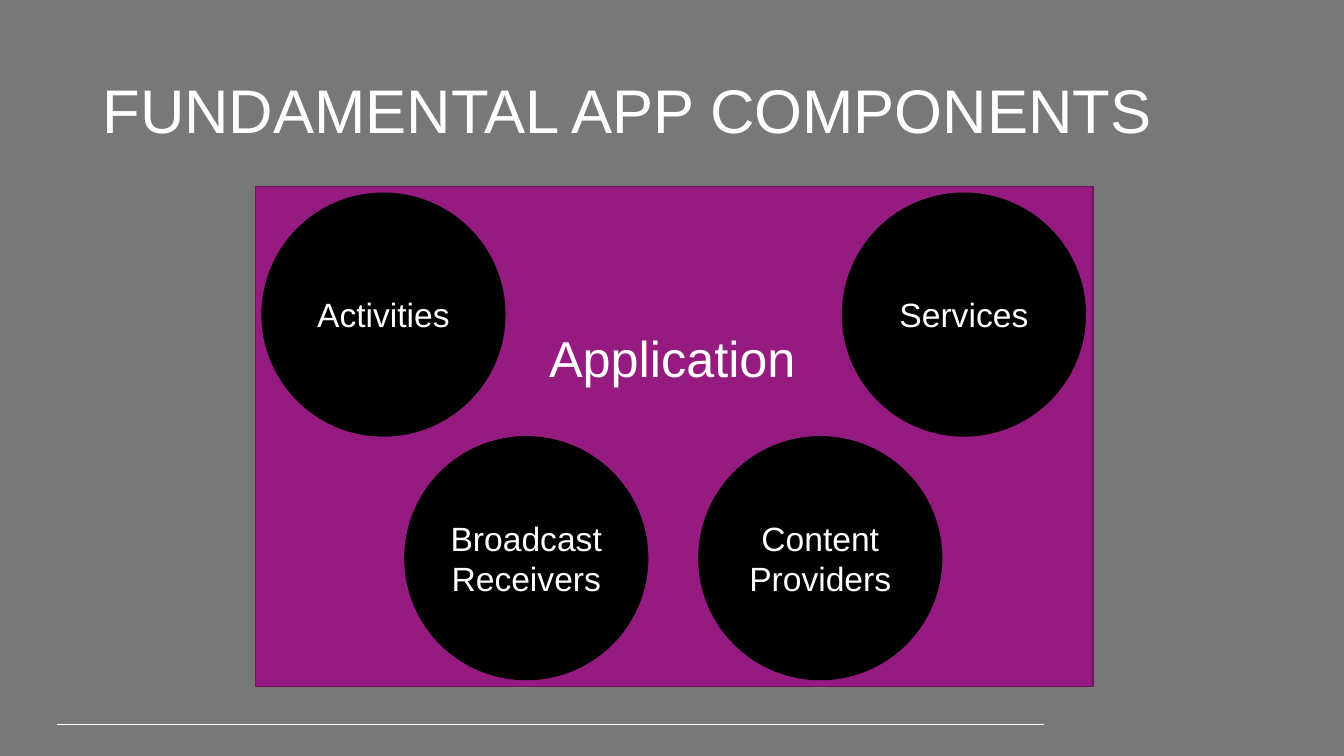
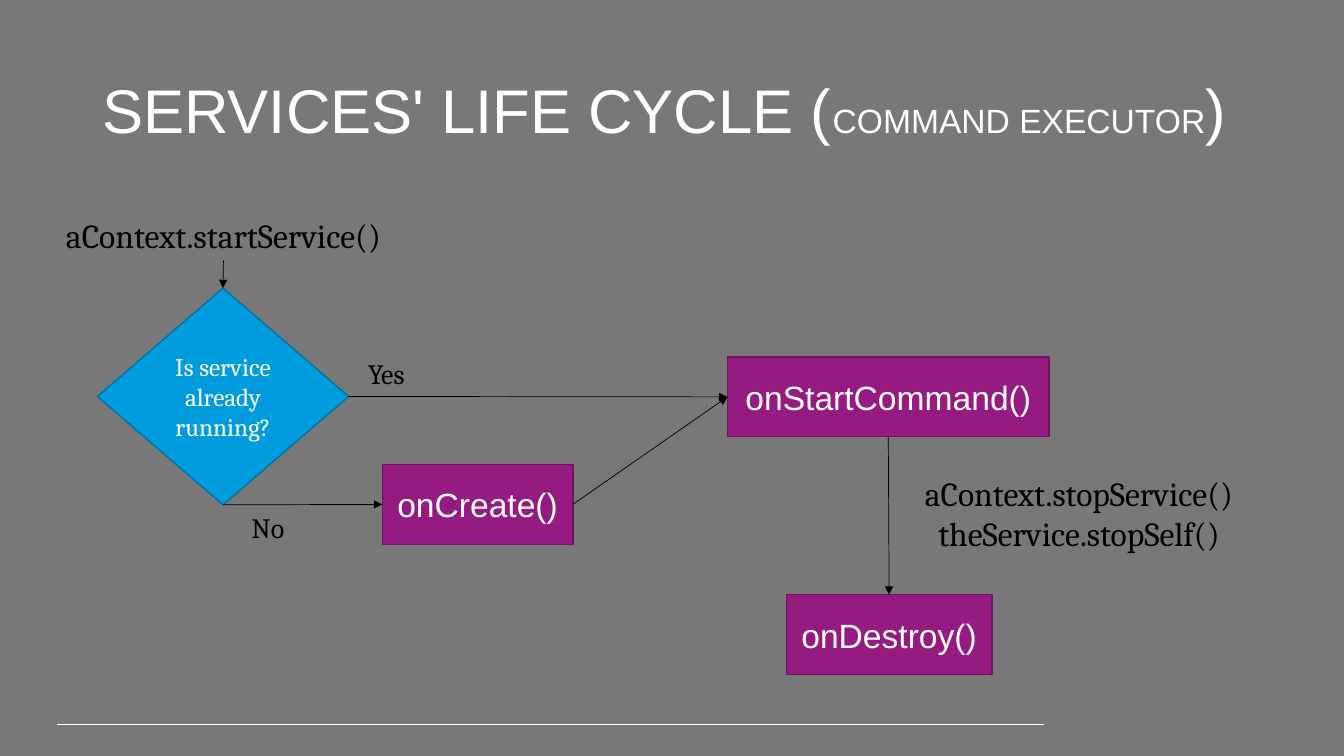
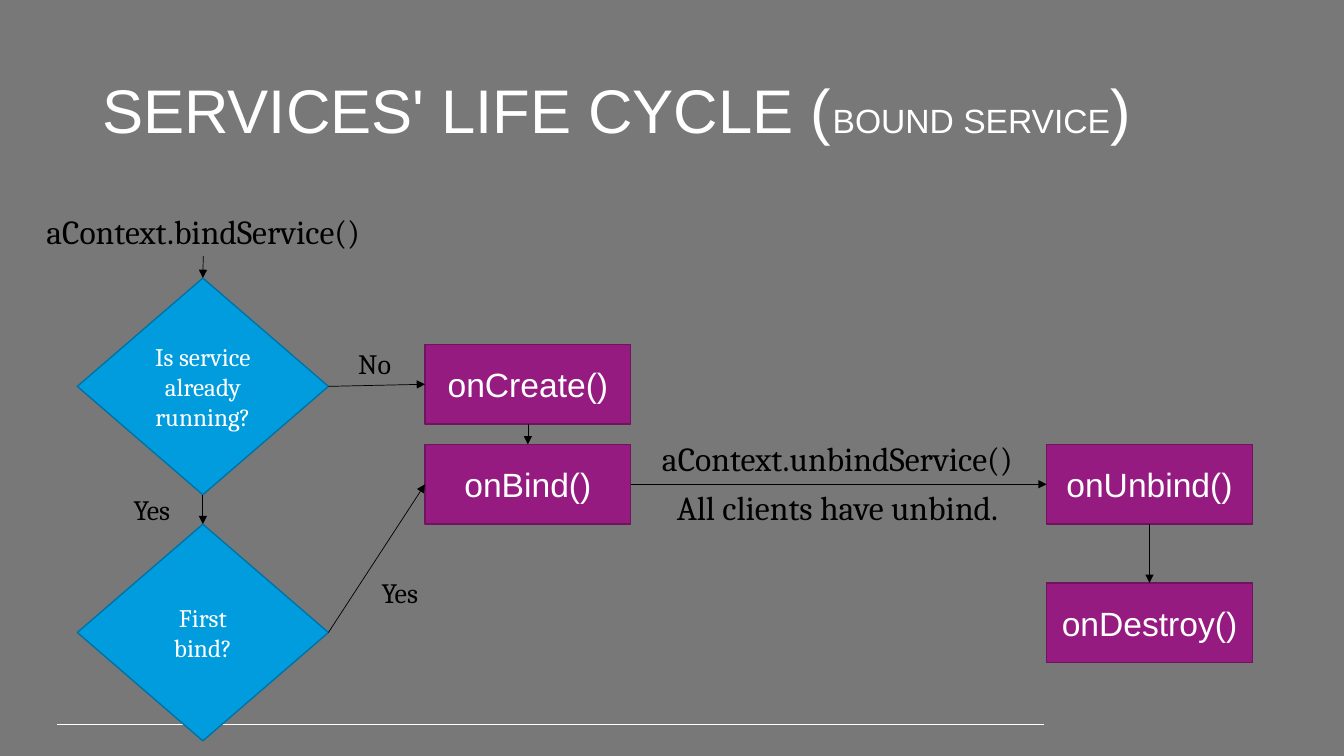
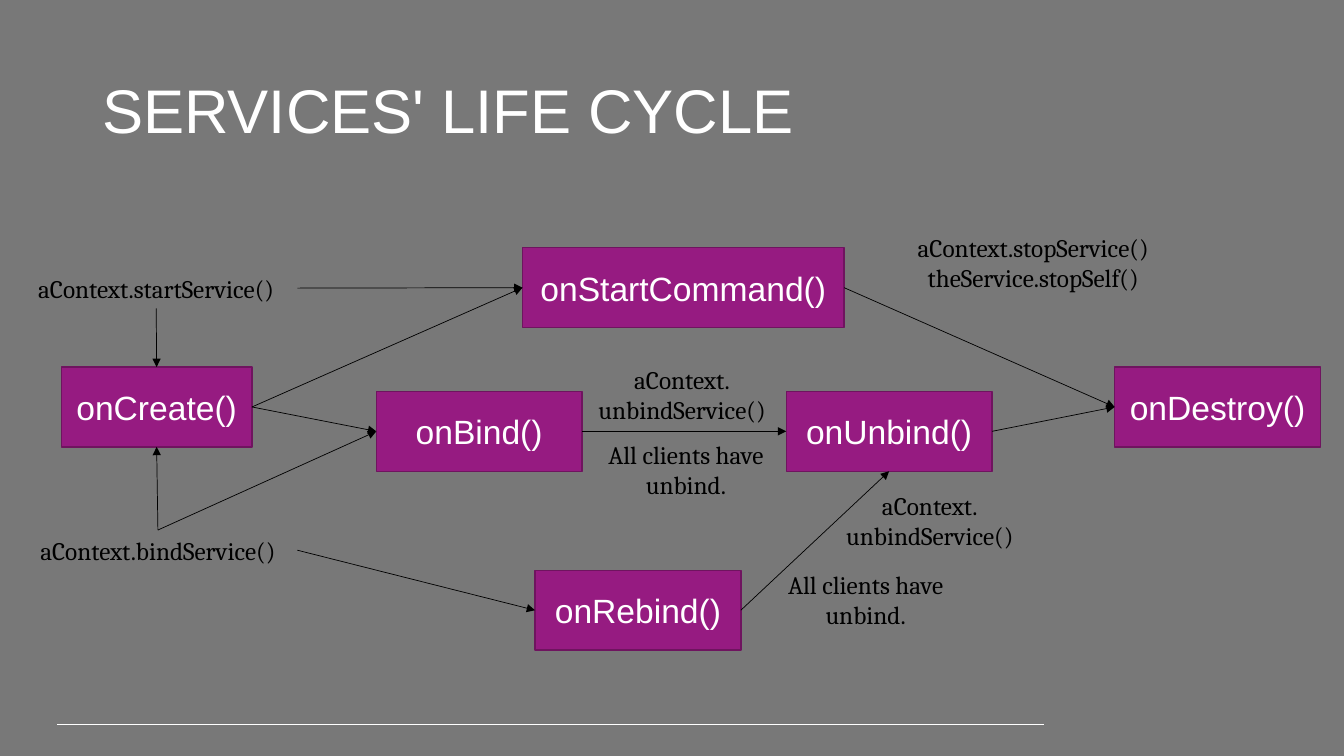
from pptx import Presentation
from pptx.dml.color import RGBColor
from pptx.enum.shapes import MSO_CONNECTOR as Connector, MSO_SHAPE as Preset
from pptx.enum.text import MSO_ANCHOR as Anchor, MSO_AUTO_SIZE as AutoSize, PP_ALIGN as Align
from pptx.oxml import parse_xml
from pptx.oxml.ns import nsdecls, qn
from pptx.text.text import Font
from pptx.util import Inches, Pt

# Each slide is a grid of 16 columns by 9 rows; all places are given in its units
presentation = Presentation()
presentation.slide_width, presentation.slide_height = Inches(13.333), Inches(7.5)
COLUMN = presentation.slide_width / 16
ROW = presentation.slide_height / 9
TOP, LEFT, BOTTOM, RIGHT = range(4)  # connection sites of a shape

WHITE, BLACK, GREY = (RGBColor.from_string(code) for code in ("FFFFFF", "000000", "787878"))
PURPLE, PLUM, BLUE, NAVY = (
    RGBColor.from_string(code) for code in ("961B81", "6F145F", "009CDE", "0073A4"))

THEME = {
    "background": GREY,
    "title": {"name": "Arial", "size": Pt(44), "color": WHITE},
    "subtitle": {"name": "Arial", "size": Pt(24), "color": WHITE},
    "rule": {"color": WHITE, "width": Pt(0.75)},
    "arrow": {"color": BLACK, "width": Pt(0.5)},
    # outlined shapes: preset, fill, line, font, default width, height
    "shapes": {
        "panel": (Preset.RECTANGLE, PURPLE, PLUM, ("Arial", 24), 9.97, 5.95),
        "circle": (Preset.OVAL, BLACK, BLACK, ("Arial", 24), 2.89, 2.89),
        "method": (Preset.RECTANGLE, PURPLE, PLUM, ("Arial", 24), 2.45, 0.95),
        "question": (Preset.DIAMOND, BLUE, NAVY, ("Cambria", 18), 2.99, 2.58),
    },
    # plain text: font name, size, colour, default width
    "texts": {
        "heading": ("Arial", 36, WHITE, 3.31),
        "call": ("Cambria", 24, BLACK, 4.62),
        "answer": ("Cambria", 20, BLACK, 1.08),
        "note": ("Cambria", 18, BLACK, 3.36),
    },
}

START, BIND, UNBIND = (f"aContext.{name}Service()" for name in ("start", "bind", "unbind"))
STOP = "aContext.stopService()\ntheService.stopSelf()"
UNBIND_BROKEN = "aContext.\vunbindService()"
ALL_UNBOUND = "All clients have unbind."
RUNNING, FIRST = "Is service already running?", "First bind?"
CREATE, COMMAND, DESTROY = "onCreate()", "onStartCommand()", "onDestroy()"
ON_BIND, ON_UNBIND, ON_REBIND = "onBind()", "onUnbind()", "onRebind()"

# nodes: kind, text, left, top, then optionally width and number of text lines
# arrows: start text, site, end text, site
SLIDES = [
    {
        "title": ["FUNDAMENTAL APP COMPONENTS"],
        "nodes": [
            ("panel", "", 3.04, 2.22),
            ("circle", "Activities", 3.12, 2.3),
            ("circle", "Services", 10.03, 2.3),
            ("circle", "Broadcast Receivers", 4.82, 5.2),
            ("circle", "Content Providers", 8.32, 5.2),
            ("heading", "Application", 6.35, 3.83),
        ],
        "arrows": [],
    },
    {
        "title": ["SERVICES' LIFE CYCLE (", "COMMAND EXECUTOR", ")"],
        "nodes": [
            ("method", CREATE, 4.55, 5.53, 2.27),
            ("method", DESTROY, 9.36, 7.08),
            ("method", COMMAND, 8.66, 4.25, 3.83),
            ("call", START, 0.35, 2.5),
            ("call", STOP, 10.66, 5.57, 4.37, 2),
            ("question", RUNNING, 1.16, 3.43),
            ("answer", "No", 2.65, 6.02),
            ("answer", "Yes", 4.06, 4.19),
        ],
        "arrows": [
            (START, BOTTOM, RUNNING, TOP),
            (RUNNING, RIGHT, COMMAND, LEFT),
            (RUNNING, BOTTOM, CREATE, LEFT),
            (CREATE, RIGHT, COMMAND, LEFT),
            (COMMAND, BOTTOM, DESTROY, TOP),
        ],
    },
    {
        "title": ["SERVICES' LIFE CYCLE (", "BOUND SERVICE", ")"],
        "nodes": [
            ("method", CREATE, 5.06, 4.1),
            ("method", DESTROY, 12.46, 6.94),
            ("method", ON_BIND, 5.06, 5.29),
            ("method", ON_UNBIND, 12.46, 5.29),
            ("call", BIND, 0.2, 2.45, 4.44),
            ("call", ALL_UNBOUND, 7.66, 5.74),
            ("call", UNBIND, 7.44, 5.16, 5.06),
            ("question", RUNNING, 0.92, 3.31),
            ("question", FIRST, 0.92, 6.24),
            ("answer", "No", 3.92, 4.06),
            ("answer", "Yes", 1.27, 5.8),
            ("answer", "Yes", 4.22, 6.79),
        ],
        "arrows": [
            (BIND, BOTTOM, RUNNING, TOP),
            (RUNNING, RIGHT, CREATE, LEFT),
            (RUNNING, BOTTOM, FIRST, TOP),
            (FIRST, RIGHT, ON_BIND, LEFT),
            (CREATE, BOTTOM, ON_BIND, TOP),
            (ON_BIND, RIGHT, ON_UNBIND, LEFT),
            (ON_UNBIND, BOTTOM, DESTROY, TOP),
        ],
    },
    {
        "title": ["SERVICES' LIFE CYCLE"],
        "nodes": [
            ("method", CREATE, 0.73, 4.37, 2.27),
            ("method", DESTROY, 13.27, 4.37),
            ("method", COMMAND, 6.22, 2.95, 3.83),
            ("method", ON_BIND, 4.48, 4.66),
            ("method", ON_UNBIND, 9.36, 4.66),
            ("method", ON_REBIND, 6.37, 6.79),
            ("note", START, 0.18, 3.19),
            ("note", BIND, 0.22, 6.31, 3.32),
            ("note", STOP, 10.57, 2.71, 3.46, 2),
            ("note", ALL_UNBOUND, 7.08, 5.17, 2.17, 2),
            ("note", ALL_UNBOUND, 9.22, 6.72, 2.17, 2),
            ("note", UNBIND_BROKEN, 6.89, 4.28, 2.46, 2),
            ("note", UNBIND_BROKEN, 9.84, 5.78, 2.46, 2),
        ],
        "arrows": [
            (START, BOTTOM, CREATE, TOP),
            (START, RIGHT, COMMAND, LEFT),
            (BIND, TOP, CREATE, BOTTOM),
            (BIND, TOP, ON_BIND, LEFT),
            (BIND, RIGHT, ON_REBIND, LEFT),
            (CREATE, RIGHT, COMMAND, LEFT),
            (CREATE, RIGHT, ON_BIND, LEFT),
            (ON_BIND, RIGHT, ON_UNBIND, LEFT),
            (ON_REBIND, RIGHT, ON_UNBIND, BOTTOM),
            (ON_UNBIND, RIGHT, DESTROY, LEFT),
            (COMMAND, RIGHT, DESTROY, LEFT),
        ],
    },
]


def format_font(font, values):
    """Apply a font name, size and colour to a font."""
    for name in ("name", "size"):
        setattr(font, name, values[name])
    font.color.rgb = values["color"]


def add_line(shapes, style, start=(0, 0), end=(0, 0)):
    """Add a straight line without shadow between two grid points."""
    line = shapes.add_connector(
        Connector.STRAIGHT, *(round(value) for value in (
            start[0] * COLUMN, start[1] * ROW, end[0] * COLUMN, end[1] * ROW)))
    line.line.color.rgb, line.line.width = style["color"], style["width"]
    line.element.spPr.append(parse_xml(f"<a:effectLst {nsdecls('a')}/>"))
    return line


# Shared look: background and title style on the master, title place and rule on the layout
master = presentation.slide_master
master.background.fill.solid()
master.background.fill.fore_color.rgb = THEME["background"]
title_level = master.element.find(".//" + qn("p:titleStyle") + "/" + qn("a:lvl1pPr"))
title_level.set("algn", "l")
format_font(Font(title_level.find(qn("a:defRPr"))), THEME["title"])

layout = presentation.slide_layouts.get_by_name("Title Only")
title_place = {"left": 1.1 * COLUMN, "top": 0.48 * ROW,
               "width": 13.8 * COLUMN, "height": 1.74 * ROW}
for name, value in title_place.items():
    setattr(layout.placeholders[0], name, round(value))

for number, content in enumerate(SLIDES):
    slide = presentation.slides.add_slide(layout)
    if number == 0:
        rule = add_line(slide.shapes, THEME["rule"], (0.68, 8.62), (12.43, 8.62))
        layout.shapes.element.append(rule.element)

    title_frame = slide.shapes.title.text_frame
    title_frame.vertical_anchor, title_frame.auto_size = Anchor.MIDDLE, AutoSize.NONE
    title_frame.paragraphs[0].line_spacing = 0.9
    for index, words in enumerate(content["title"]):
        run = title_frame.paragraphs[0].add_run()
        run.text = words
        format_font(run.font, THEME["subtitle" if index % 2 else "title"])

    nodes = {}
    for kind, text, left, top, *extent in content["nodes"]:
        place = round(left * COLUMN), round(top * ROW)
        if kind in THEME["shapes"]:
            preset, fill, outline, (font_name, size), width, height = THEME["shapes"][kind]
            color = WHITE
            width = extent[0] if extent else width
            node = slide.shapes.add_shape(
                preset, *place, round(width * COLUMN), round(height * ROW))
            node.shadow.inherit = False
            node.fill.solid()
            node.fill.fore_color.rgb = fill
            node.line.color.rgb, node.line.width = outline, Pt(1)
            frame_format = {"vertical_anchor": Anchor.MIDDLE, "word_wrap": True}
        else:
            font_name, size, color, width = THEME["texts"][kind]
            width = extent[0] if extent else width
            lines = extent[1] if len(extent) > 1 else 1
            height = 0.12 + lines * size * 0.02
            node = slide.shapes.add_textbox(
                *place, round(width * COLUMN), round(height * ROW))
            frame_format = {"auto_size": AutoSize.SHAPE_TO_FIT_TEXT, "word_wrap": True}

        for name, value in frame_format.items():
            setattr(node.text_frame, name, value)
        node.text_frame.text = text
        for paragraph in node.text_frame.paragraphs:
            paragraph.alignment = Align.CENTER
            for run in paragraph.runs:
                format_font(run.font, {"name": font_name, "size": Pt(size), "color": color})
        nodes[text] = node

    for start, start_site, end, end_site in content["arrows"]:
        arrow = add_line(slide.shapes, THEME["arrow"])
        arrow.begin_connect(nodes[start], start_site)
        arrow.end_connect(nodes[end], end_site)
        arrow.line._get_or_add_ln().append(
            parse_xml(f"<a:tailEnd {nsdecls('a')} type='triangle'/>"))

presentation.save("out.pptx")
